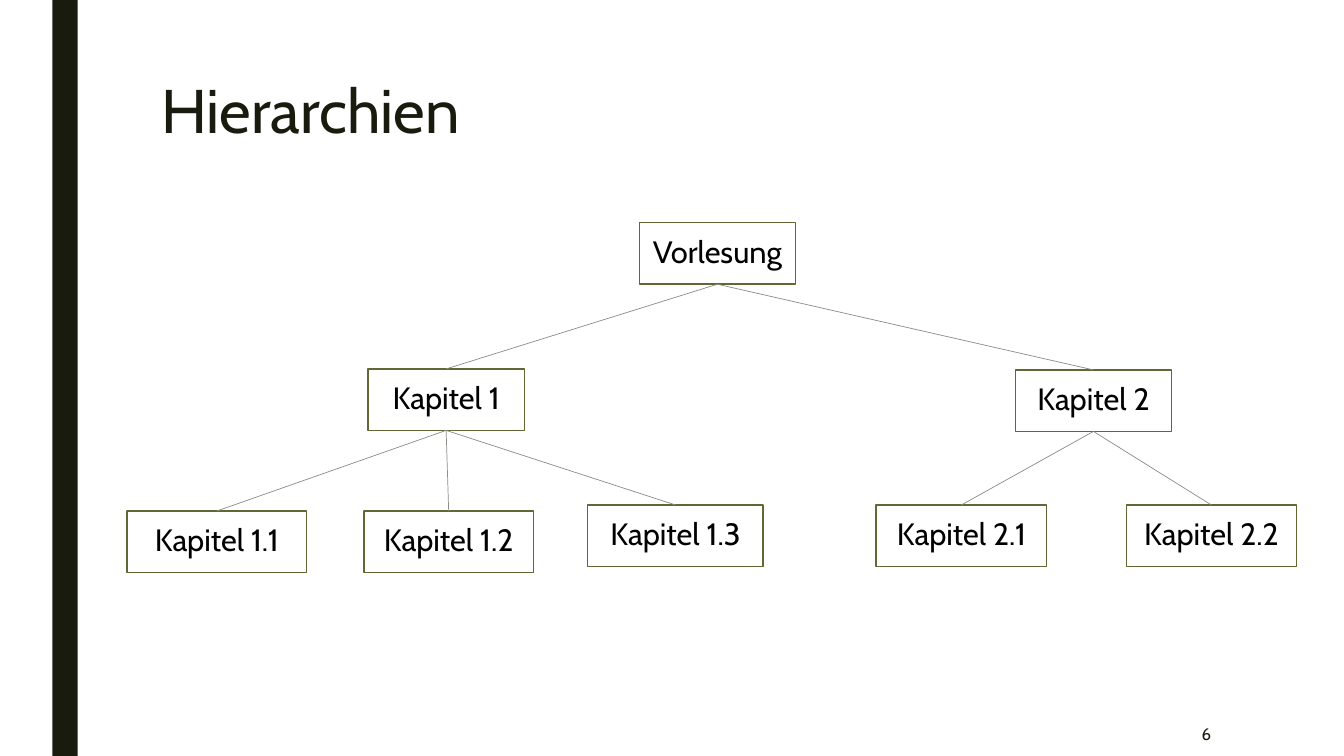
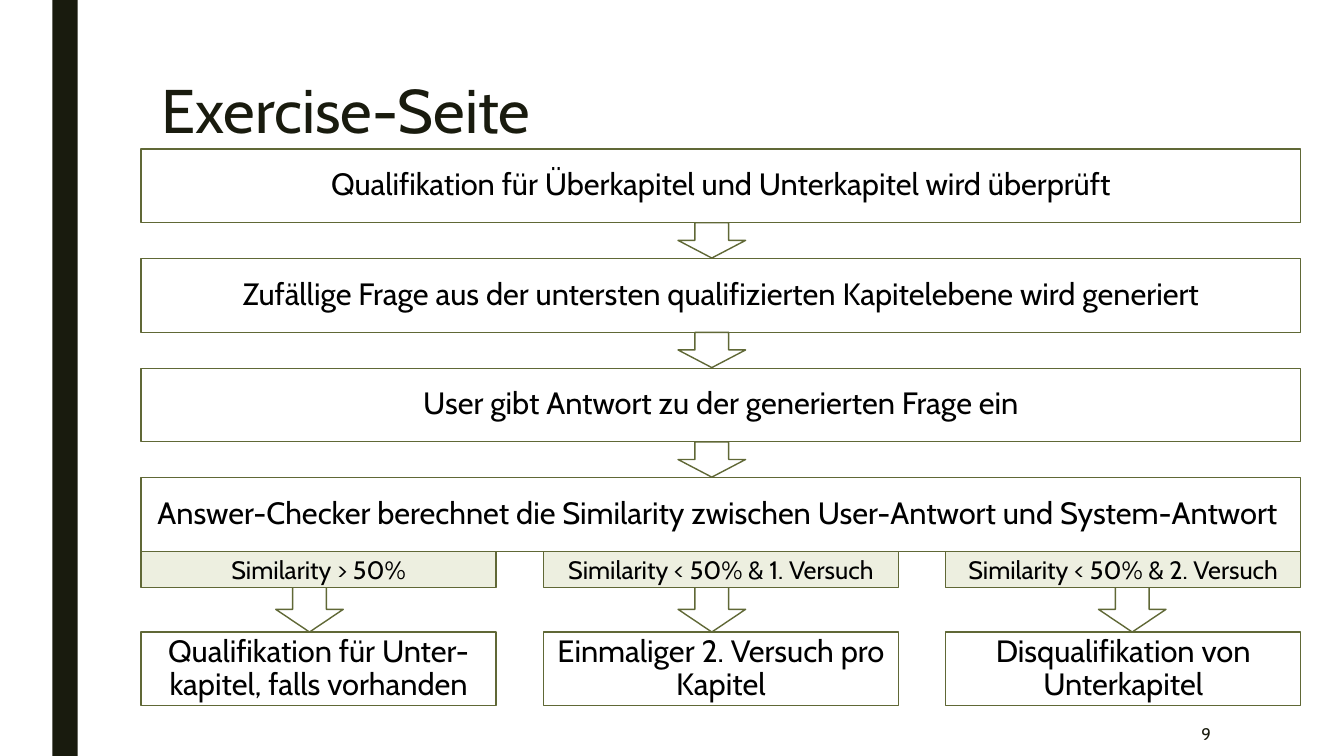
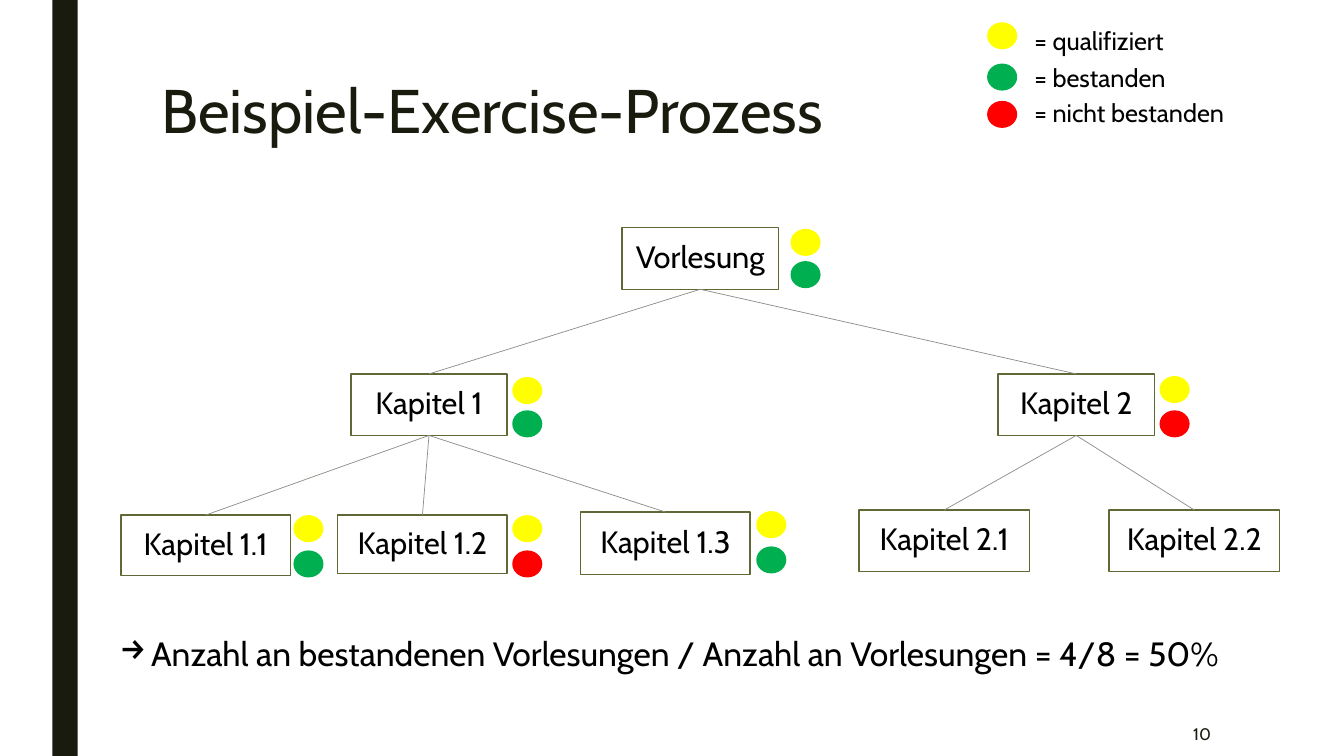
"""Build three slides on chapter hierarchies and the exercise process."""
from dataclasses import dataclass
from typing import NamedTuple

from lxml import etree
from pptx import Presentation
from pptx.dml.color import RGBColor
from pptx.enum.shapes import MSO_CONNECTOR, MSO_SHAPE
from pptx.enum.text import MSO_ANCHOR, MSO_AUTO_SIZE, PP_ALIGN
from pptx.oxml.ns import qn
from pptx.shapes.autoshape import Shape
from pptx.slide import Slide, SlideLayout
from pptx.text.text import TextFrame, _Paragraph as Paragraph
from pptx.util import Inches, Pt

RECTANGLE, ELLIPSE, DOWN_ARROW = MSO_SHAPE.RECTANGLE, MSO_SHAPE.OVAL, MSO_SHAPE.DOWN_ARROW
STRAIGHT = MSO_CONNECTOR.STRAIGHT
LEFT, CENTER, RIGHT = PP_ALIGN.LEFT, PP_ALIGN.CENTER, PP_ALIGN.RIGHT
TOP, MIDDLE = MSO_ANCHOR.TOP, MSO_ANCHOR.MIDDLE
NO_AUTOFIT = MSO_AUTO_SIZE.NONE

FONT = "Cabin"
INK = RGBColor(0x19, 0x1B, 0x0E)
BLACK = RGBColor(0x00, 0x00, 0x00)
WHITE = RGBColor(0xFF, 0xFF, 0xFF)
OLIVE = RGBColor(0x60, 0x68, 0x36)
PALE_OLIVE = RGBColor(0xED, 0xEF, 0xE0)
GRAY = RGBColor(0x8C, 0x8D, 0x86)
YELLOW = RGBColor(0xFF, 0xFF, 0x00)
GREEN = RGBColor(0x00, 0xB0, 0x50)
RED = RGBColor(0xFF, 0x00, 0x00)

BOX_INSET = 0.13
BOX_SPACING = 0.9
BOTTOM_SITE, TOP_SITE = 2, 0


class Frame(NamedTuple):
    """Position and size in inches."""

    left: float
    top: float
    width: float
    height: float = 0.61


class Node(NamedTuple):
    """A chapter and the index of the chapter above it."""

    label: str
    parent: int | None


class Marks(NamedTuple):
    """The qualified dot and the result dot beside a chapter."""

    left: float
    qualified_top: float
    result_top: float
    result: RGBColor


@dataclass(frozen=True)
class Outcome:
    """One branch at the end of the exercise flow."""

    left: float
    arrow_center: float
    condition: str
    result: str


BAND = Frame(0.52, 0, 0.25, 7.5)
TITLE = Frame(1.5, 0.75, 10.5, 1.62)
PAGE_NUMBER = Frame(10.36, 7.06, 1.75, 0.44)

CHAPTERS = [
    Node("Vorlesung", None),
    Node("Kapitel 1", 0),
    Node("Kapitel 2", 0),
    Node("Kapitel 1.1", 1),
    Node("Kapitel 1.2", 1),
    Node("Kapitel 1.3", 1),
    Node("Kapitel 2.1", 2),
    Node("Kapitel 2.2", 2),
]
HIERARCHY_FRAMES = [
    Frame(6.34, 2.21, 1.55),
    Frame(3.65, 3.66, 1.55),
    Frame(10.07, 3.67, 1.55),
    Frame(1.26, 5.07, 1.78),
    Frame(3.61, 5.07, 1.68),
    Frame(5.83, 5.01, 1.74),
    Frame(8.69, 5.01, 1.69),
    Frame(11.17, 5.01, 1.69),
]
EXAMPLE_FRAMES = [
    Frame(6.17, 2.26, 1.55),
    Frame(3.48, 3.71, 1.55),
    Frame(9.9, 3.71, 1.55),
    Frame(1.2, 5.11, 1.68, 0.6),
    Frame(3.35, 5.11, 1.68, 0.58),
    Frame(5.76, 5.08, 1.68, 0.62),
    Frame(8.52, 5.06, 1.69),
    Frame(11, 5.06, 1.69),
]
EXAMPLE_MARKS = [
    Marks(7.86, 2.29, 2.61, GREEN),
    Marks(5.1, 3.76, 4.09, GREEN),
    Marks(11.52, 3.75, 4.09, RED),
    Marks(2.93, 5.13, 5.48, GREEN),
    Marks(5.1, 5.13, 5.48, RED),
    Marks(7.52, 5.09, 5.44, GREEN),
]
LEGEND = [
    (YELLOW, 0.24, "= qualifiziert", 0.2),
    (GREEN, 0.65, "= bestanden", 0.57),
    (RED, 1.02, "= nicht bestanden", 0.92),
]

STEPS = [
    "Qualifikation für Überkapitel und Unterkapitel wird überprüft",
    "Zufällige Frage aus der untersten qualifizierten Kapitelebene wird generiert",
    "User gibt Antwort zu der generierten Frage ein",
    "Answer-Checker berechnet die Similarity zwischen User-Antwort und System-Antwort ",
]
OUTCOMES = [
    Outcome(1.4, 3.07, "Similarity > 50%", "Qualifikation für Unter-kapitel, falls vorhanden"),
    Outcome(5.39, 7.06, "Similarity < 50% & 1. Versuch", "Einmaliger 2. Versuch pro Kapitel"),
    Outcome(9.38, 11.23, "Similarity < 50% & 2. Versuch", "Disqualifikation von Unterkapitel"),
]


def lengths(frame: Frame) -> list[Inches]:
    """Give a frame as lengths."""
    return [Inches(value) for value in frame]


def write(
    text_frame: TextFrame,
    text: str,
    size: float,
    color: RGBColor = BLACK,
    align: PP_ALIGN = LEFT,
    anchor: MSO_ANCHOR = TOP,
    spacing: float = 1.0,
) -> Paragraph:
    """Write one formatted paragraph."""
    text_frame.word_wrap = True
    text_frame.auto_size = NO_AUTOFIT
    text_frame.vertical_anchor = anchor
    para = text_frame.paragraphs[0]
    para.alignment = align
    para.line_spacing = spacing
    span = para.add_run()
    span.text = text
    span.font.name = FONT
    span.font.size = Pt(size)
    span.font.color.rgb = color
    return para


def add_figure(
    slide: Slide,
    kind: MSO_SHAPE,
    frame: Frame,
    fill: RGBColor,
    outline: RGBColor | None = OLIVE,
    weight: float = 1,
) -> Shape:
    """Add a flat preset shape."""
    figure = slide.shapes.add_shape(kind, *lengths(frame))
    figure.shadow.inherit = False
    figure.fill.solid()
    figure.fill.fore_color.rgb = fill
    if outline is None:
        figure.line.fill.background()
    else:
        figure.line.color.rgb = outline
        figure.line.width = Pt(weight)
    return figure


def add_box(slide: Slide, frame: Frame, text: str) -> Shape:
    """Add a white outlined box with centred text."""
    box = add_figure(slide, RECTANGLE, frame, WHITE)
    text_frame = box.text_frame
    text_frame.margin_left = text_frame.margin_right = Inches(BOX_INSET)
    text_frame.margin_top = text_frame.margin_bottom = Inches(BOX_INSET)
    write(text_frame, text, 22, align=CENTER, anchor=MIDDLE, spacing=BOX_SPACING)
    return box


def add_label(slide: Slide, frame: Frame, text: str, size: float, **style) -> Paragraph:
    """Add a text box."""
    label = slide.shapes.add_textbox(*lengths(frame))
    return write(label.text_frame, text, size, **style)


def add_dot(slide: Slide, left: float, top: float, color: RGBColor) -> None:
    """Add a status dot."""
    add_figure(slide, ELLIPSE, Frame(left, top, 0.26, 0.23), color, color, 2.75)


def add_arrow(slide: Slide, center: float, top: float, height: float) -> None:
    """Add a block arrow that points down."""
    width = 0.67
    add_figure(slide, DOWN_ARROW, Frame(center - width / 2, top, width, height), WHITE)


def add_branch(slide: Slide, parent: Shape, child: Shape) -> None:
    """Join a parent box to a child box."""
    branch = slide.shapes.add_connector(STRAIGHT, 0, 0, 0, 0)
    branch.begin_connect(parent, BOTTOM_SITE)
    branch.end_connect(child, TOP_SITE)
    branch.line.color.rgb = GRAY
    branch.line.width = Pt(0.5)
    etree.SubElement(branch.element.spPr, qn("a:effectLst"))


def add_tree(slide: Slide, frames: list[Frame]) -> None:
    """Draw the chapter tree."""
    boxes = [add_box(slide, frame, node.label) for node, frame in zip(CHAPTERS, frames)]
    for node, box in zip(CHAPTERS, boxes):
        if node.parent is not None:
            add_branch(slide, boxes[node.parent], box)


def add_page(deck, layout: SlideLayout, heading: str, number: int) -> Slide:
    """Add a slide with its title and page number."""
    slide = deck.slides.add_slide(layout)
    title = slide.shapes.title
    title.left, title.top, title.width, title.height = lengths(TITLE)
    write(title.text_frame, heading, 44, INK, spacing=0.89)
    add_label(slide, PAGE_NUMBER, str(number), 12, color=INK, align=RIGHT, anchor=MIDDLE)
    return slide


def add_flow(slide: Slide) -> None:
    """Draw the exercise steps and their outcomes."""
    left, width, height = 1.4, 11.5, 0.73
    first_top, last_top = 1.48, 4.74
    pitch = (last_top - first_top) / (len(STEPS) - 1)
    for index, step in enumerate(STEPS):
        top = first_top + index * pitch
        add_box(slide, Frame(left, top, width, height), step)
        if index:
            add_arrow(slide, 7.06, top - pitch + height, 0.35)
    for outcome in OUTCOMES:
        add_box(slide, Frame(outcome.left, 6.27, 3.52, height), outcome.result)
        add_arrow(slide, outcome.arrow_center, 5.82, 0.45)
        condition_frame = Frame(outcome.left, last_top + height, 3.52, 0.36)
        condition = add_figure(slide, RECTANGLE, condition_frame, PALE_OLIVE)
        write(condition.text_frame, outcome.condition, 18, align=CENTER, anchor=MIDDLE)


def add_example(slide: Slide) -> None:
    """Draw the rated tree, its legend and the score."""
    add_tree(slide, EXAMPLE_FRAMES)
    for marks in EXAMPLE_MARKS:
        add_dot(slide, marks.left, marks.qualified_top, YELLOW)
        add_dot(slide, marks.left, marks.result_top, marks.result)
    for color, dot_top, meaning, text_top in LEGEND:
        add_dot(slide, 9.81, dot_top, color)
        add_label(slide, Frame(10.16, text_top, 2.32, 0.4), meaning, 18)
    score = "Anzahl an bestandenen Vorlesungen / Anzahl an Vorlesungen = 4/8 = 50%"
    para = add_label(slide, Frame(1.09, 6.23, 11.73, 0.5), score, 24)
    properties = para._p.get_or_add_pPr()
    properties.set("marL", str(Inches(0.31)))
    properties.set("indent", str(Inches(-0.31)))
    etree.SubElement(properties, qn("a:buChar"), char="→")


def main() -> None:
    """Build and save the deck."""
    deck = Presentation()
    deck.slide_width, deck.slide_height = Inches(13.33), Inches(7.5)
    layout = deck.slide_layouts[5]

    hierarchy = add_page(deck, layout, "Hierarchien", 6)
    band = add_figure(hierarchy, RECTANGLE, BAND, INK, None)
    layout.shapes.element.insert(2, band.element)
    add_tree(hierarchy, HIERARCHY_FRAMES)

    add_flow(add_page(deck, layout, "Exercise-Seite", 9))
    add_example(add_page(deck, layout, "Beispiel-Exercise-Prozess", 10))
    deck.save("out.pptx")


if __name__ == "__main__":
    main()
